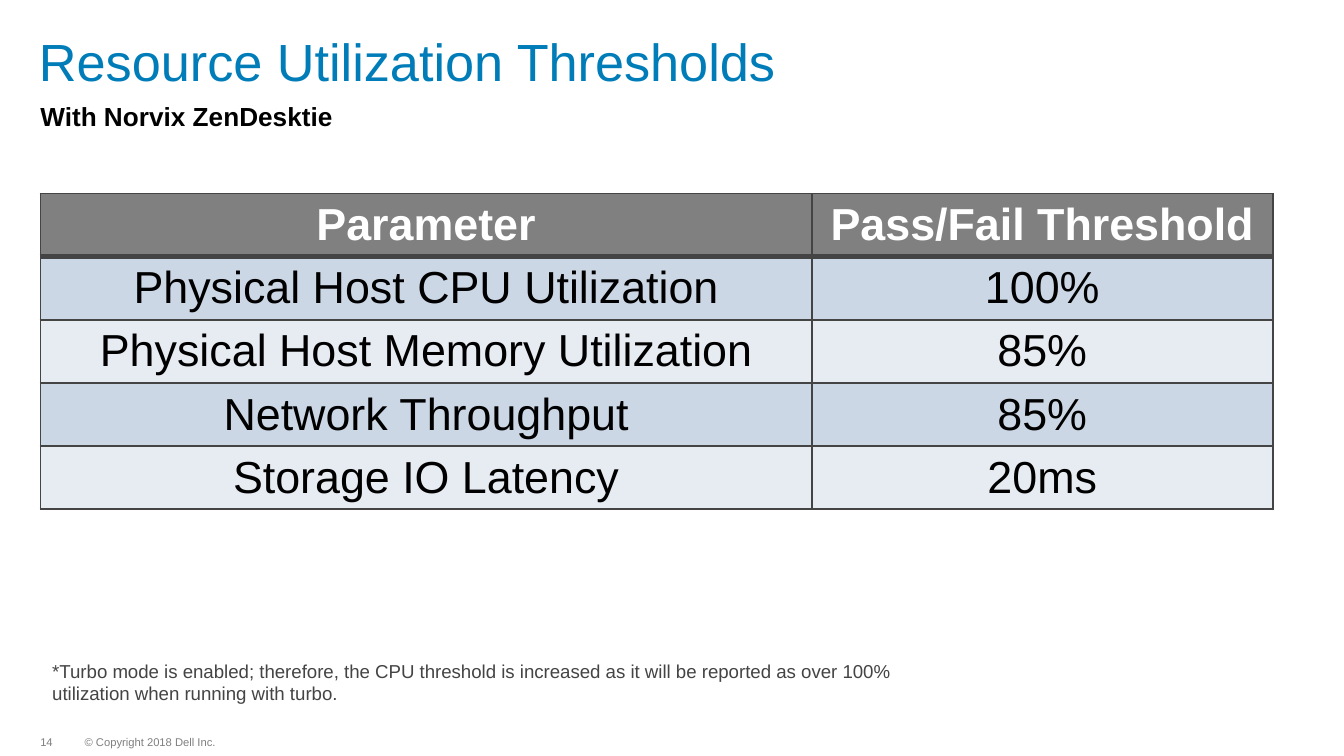
from pptx import Presentation
from pptx.dml.color import RGBColor
from pptx.enum.text import MSO_ANCHOR, MSO_AUTO_SIZE, PP_ALIGN
from pptx.oxml.ns import qn
from pptx.util import Inches, Pt
from lxml.etree import SubElement

BLUE = RGBColor(0x00, 0x7D, 0xB8)
BLACK = RGBColor(0x00, 0x00, 0x00)
WHITE = RGBColor(0xFF, 0xFF, 0xFF)
DARK_GRAY = RGBColor(0x44, 0x44, 0x44)
HEADER_GRAY = RGBColor(0x80, 0x80, 0x80)
FOOTER_GRAY = RGBColor(0x7F, 0x7F, 0x7F)
BANDS = [RGBColor(0xCC, 0xD7, 0xE6), RGBColor(0xE7, 0xEC, 0xF3)]

TITLE = "Resource Utilization Thresholds"
SUBTITLE = "With Norvix ZenDesktie"
THRESHOLDS = [
    ("Parameter", "Pass/Fail Threshold"),
    ("Physical Host CPU Utilization", "100%"),
    ("Physical Host Memory Utilization", "85%"),
    ("Network Throughput", "85%"),
    ("Storage IO Latency", "20ms"),
]
NOTE = ("*Turbo mode is enabled; therefore, the CPU threshold is increased as it will be "
        "reported as over 100% utilization when running with turbo.")
FOOTER = [("14", 0.3, 0.1), ("© Copyright 2018 Dell Inc.", 0.63, 0.99)]

SLIDE_WIDTH = Inches(10)
SLIDE_HEIGHT = SLIDE_WIDTH * 9 // 16
COLUMN_WIDTHS = [5.74, 3.43]
ROW_HEIGHT = 0.47


def write_text(frame, text, size, color, bold=False, align=PP_ALIGN.LEFT, line_spacing=1.0):
    paragraph = frame.paragraphs[0]
    paragraph.alignment = align
    paragraph.line_spacing = line_spacing
    paragraph.space_before = Pt(0)
    run = paragraph.add_run()
    run.text = text
    run.font.name = "Arial"
    run.font.size = Pt(size)
    run.font.bold = bold
    run.font.color.rgb = color


def place(shape, left, top, width, height, inset=0.0, anchor=MSO_ANCHOR.TOP, wrap=True):
    shape.left, shape.top = Inches(left), Inches(top)
    shape.width, shape.height = Inches(width), Inches(height)
    frame = shape.text_frame
    frame.auto_size = MSO_AUTO_SIZE.NONE
    frame.word_wrap = wrap
    frame.vertical_anchor = anchor
    frame.margin_left = frame.margin_right = Inches(inset)
    frame.margin_top = frame.margin_bottom = Inches(inset / 2)
    return frame


def set_borders(cell, top, bottom):
    """Draw all four cell borders; top and bottom are widths in points."""
    properties = cell._tc.get_or_add_tcPr()
    for side, width in (("L", 1), ("R", 1), ("T", top), ("B", bottom)):
        line = SubElement(properties, qn(f"a:ln{side}"), w=str(Pt(width)))
        fill = SubElement(line, qn("a:solidFill"))
        SubElement(fill, qn("a:srgbClr"), val=str(DARK_GRAY))


def add_threshold_table(slide):
    table = slide.shapes.add_table(
        len(THRESHOLDS), len(COLUMN_WIDTHS), Inches(0.3), Inches(1.44),
        Inches(sum(COLUMN_WIDTHS)), Inches(ROW_HEIGHT * len(THRESHOLDS))).table
    for column, width in zip(table.columns, COLUMN_WIDTHS):
        column.width = Inches(width)
    for row_index, values in enumerate(THRESHOLDS):
        header = row_index == 0
        table.rows[row_index].height = Inches(ROW_HEIGHT)
        for column_index, value in enumerate(values):
            cell = table.cell(row_index, column_index)
            set_borders(cell, top=3 if row_index == 1 else 1, bottom=3 if header else 1)
            cell.fill.solid()
            cell.fill.fore_color.rgb = HEADER_GRAY if header else BANDS[(row_index - 1) % 2]
            cell.margin_top = cell.margin_bottom = Inches(0.04)
            cell.vertical_anchor = MSO_ANCHOR.MIDDLE
            write_text(cell.text_frame, value, 24, WHITE if header else BLACK,
                       bold=header, align=PP_ALIGN.CENTER)


def main():
    presentation = Presentation()
    presentation.slide_width, presentation.slide_height = SLIDE_WIDTH, SLIDE_HEIGHT
    slide = presentation.slides.add_slide(presentation.slide_layouts[0])

    title = place(slide.shapes.title, 0.29, 0.27, 8.96, 0.42)
    write_text(title, TITLE, 28, BLUE, line_spacing=0.9)
    subtitle = place(slide.placeholders[1], 0.3, 0.75, 8.95, 0.24)
    write_text(subtitle, SUBTITLE, 14, BLACK, bold=True)

    add_threshold_table(slide)

    note = place(slide.shapes.add_textbox(0, 0, 0, 0), 0.29, 4.86, 6.84, 0.44, inset=0.1)
    write_text(note, NOTE, 10, DARK_GRAY)
    for text, left, width in FOOTER:
        footer = place(slide.shapes.add_textbox(0, 0, 0, 0), left, 5.48, width, 0.09,
                       anchor=MSO_ANCHOR.MIDDLE, wrap=False)
        write_text(footer, text, 6, FOOTER_GRAY, line_spacing=0.9)

    presentation.save("out.pptx")


if __name__ == "__main__":
    main()
